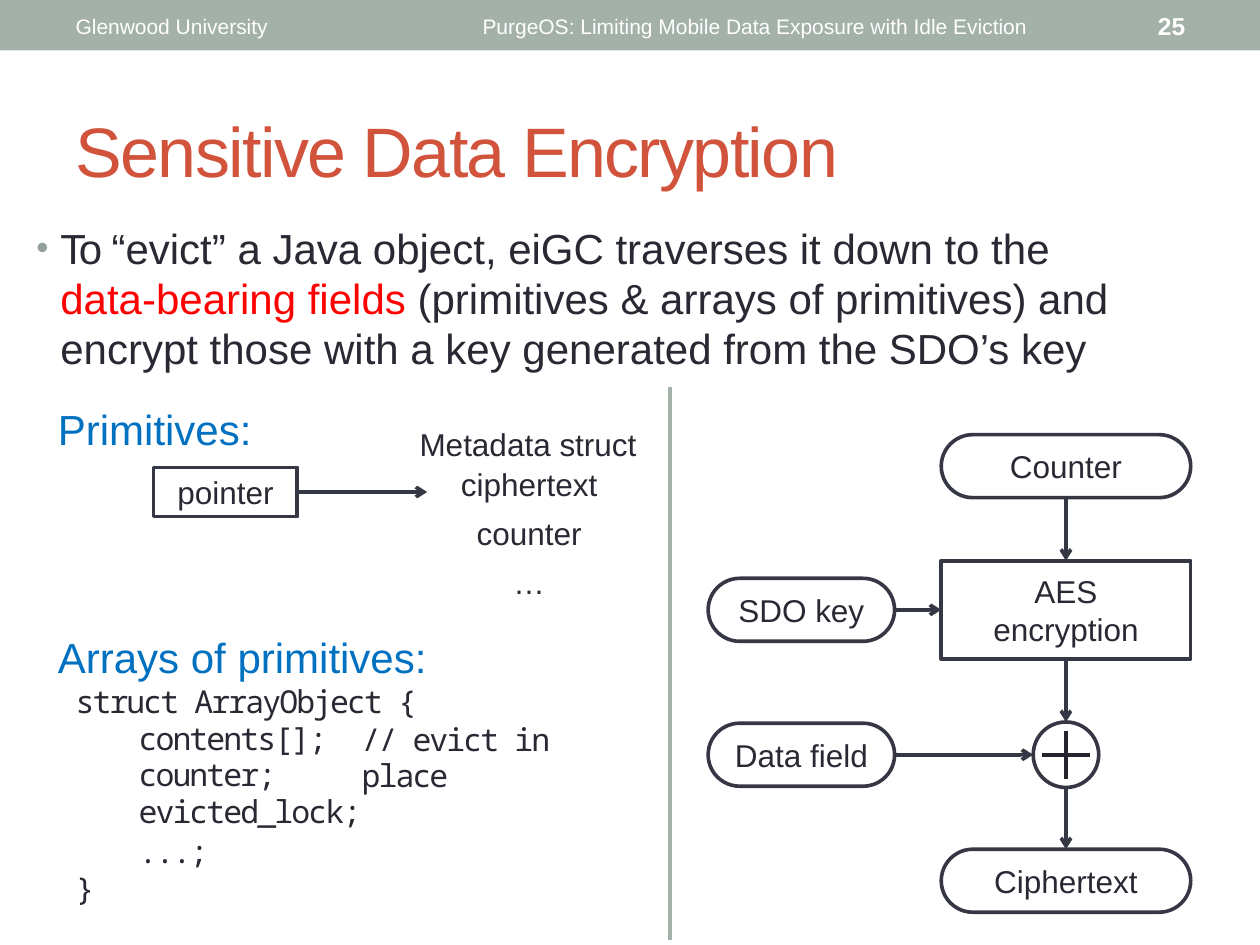
from dataclasses import dataclass

from lxml.etree import SubElement
from pptx import Presentation
from pptx.dml.color import RGBColor
from pptx.enum.shapes import MSO_CONNECTOR, MSO_SHAPE
from pptx.enum.text import MSO_ANCHOR, MSO_AUTO_SIZE, PP_ALIGN
from pptx.oxml.ns import qn
from pptx.util import Inches, Pt

TOP, LEFT, BOTTOM, RIGHT = range(4)


@dataclass(frozen=True)
class Theme:
    """Colours, fonts and type sizes of the deck."""
    bar: str = "A4B1A9"
    bullet: str = "93A299"
    outline: str = "363744"
    cross: str = "24242F"
    ink: str = "292934"
    title: str = "D2533C"
    heading: str = "0070C0"
    accent: str = "FF0000"
    white: str = "FFFFFF"
    sans: str = "Arial"
    mono: str = "Noto Sans Mono"
    title_size: int = 40
    body_size: int = 24
    label_size: int = 18
    number_size: int = 14
    header_size: int = 12
    line_width: float = 2.08


class SlideBuilder:
    """Draws styled elements on the current slide."""

    def __init__(self, slide, theme):
        self.slide = slide
        self.theme = theme

    def style(self, span, size, color=None, font=None, bold=False, spacing=0):
        """Format one run."""
        span.font.size = Pt(size)
        span.font.name = font or self.theme.sans
        span.font.bold = bold
        span.font.color.rgb = RGBColor.from_string(color or self.theme.ink)
        if spacing:
            span._r.get_or_add_rPr().set("spc", str(round(spacing * 100)))

    def prepare(self, frame, anchor=MSO_ANCHOR.TOP):
        """Remove the insets of a text frame and fix its wrapping."""
        frame.margin_left = frame.margin_right = 0
        frame.margin_top = frame.margin_bottom = 0
        frame.word_wrap = True
        frame.auto_size = MSO_AUTO_SIZE.NONE
        frame.vertical_anchor = anchor

    def title(self, text, left, top, width, height):
        """Place and format the title placeholder."""
        box = self.slide.shapes.title
        box.left, box.top = Inches(left), Inches(top)
        box.width, box.height = Inches(width), Inches(height)
        box.text_frame.text = text
        self.prepare(box.text_frame)
        para = box.text_frame.paragraphs[0]
        para.alignment = PP_ALIGN.LEFT
        self.style(para.runs[0], self.theme.title_size, self.theme.title, spacing=-0.9)

    def text(self, text, left, top, width, height, size, leading=None, **look):
        """Add a text box and return it."""
        box = self.slide.shapes.add_textbox(
            Inches(left), Inches(top), Inches(width), Inches(height))
        box.text_frame.text = text
        self.prepare(box.text_frame)
        for para in box.text_frame.paragraphs:
            if leading:
                para.line_spacing = Pt(leading)
            for span in para.runs:
                self.style(span, size, **look)
        return box

    def code(self, text, left, top, width, height):
        """Add a monospaced text box and return it."""
        return self.text(text, left, top, width, height, self.theme.label_size,
                         leading=21, font=self.theme.mono, spacing=-1.1)

    def bullet(self, spans, left, top, width, height, leading):
        """Add one bulleted paragraph made of (text, colour, spacing) spans."""
        box = self.text("", left, top, width, height, self.theme.body_size, leading)
        para = box.text_frame.paragraphs[0]
        for text, color, spacing in spans:
            span = para.add_run()
            span.text = text
            self.style(span, self.theme.body_size, color, spacing=spacing)
        properties = para._p.get_or_add_pPr()
        properties.set("marL", str(Inches(0.21)))
        properties.set("indent", str(Inches(-0.19)))
        color = SubElement(properties, qn("a:buClr"))
        SubElement(color, qn("a:srgbClr")).set("val", self.theme.bullet)
        SubElement(properties, qn("a:buSzPct")).set("val", "83000")
        SubElement(properties, qn("a:buFont")).set("typeface", self.theme.sans)
        SubElement(properties, qn("a:buChar")).set("char", "•")

    def bar(self, left, top, width, height):
        """Add a filled band without an outline."""
        shape = self.slide.shapes.add_shape(
            MSO_SHAPE.RECTANGLE, Inches(left), Inches(top), Inches(width), Inches(height))
        shape.shadow.inherit = False
        shape.fill.solid()
        shape.fill.fore_color.rgb = RGBColor.from_string(self.theme.bar)
        shape.line.fill.background()

    def node(self, kind, text, left, top, width, height):
        """Add an outlined shape with a centred label and return it."""
        shape = self.slide.shapes.add_shape(
            kind, Inches(left), Inches(top), Inches(width), Inches(height))
        if kind == MSO_SHAPE.ROUNDED_RECTANGLE:
            shape.adjustments[0] = 0.5
        shape.shadow.inherit = False
        shape.fill.background()
        shape.line.color.rgb = RGBColor.from_string(self.theme.outline)
        shape.line.width = Pt(self.theme.line_width)
        shape.text_frame.text = text
        self.prepare(shape.text_frame, MSO_ANCHOR.MIDDLE)
        for para in shape.text_frame.paragraphs:
            para.alignment = PP_ALIGN.CENTER
            for span in para.runs:
                self.style(span, self.theme.label_size)
        return shape

    def line(self, start, end, color, arrow=False):
        """Add a straight line between two points and return it."""
        line = self.slide.shapes.add_connector(MSO_CONNECTOR.STRAIGHT, *start, *end)
        line.line.color.rgb = RGBColor.from_string(color)
        line.line.width = Pt(self.theme.line_width)
        if arrow:
            SubElement(line.line._get_or_add_ln(), qn("a:tailEnd")).set("type", "arrow")
        SubElement(line._element.spPr, qn("a:effectLst"))
        return line

    def side(self, shape, site):
        """Return the middle of one side of a shape."""
        across = {LEFT: 0, RIGHT: shape.width}.get(site, shape.width // 2)
        down = {TOP: 0, BOTTOM: shape.height}.get(site, shape.height // 2)
        return shape.left + across, shape.top + down

    def link(self, start, start_site, end, end_site):
        """Draw an arrow between two shapes, joined where they are rectangles."""
        arrow = self.line(self.side(start, start_site), self.side(end, end_site),
                          self.theme.outline, arrow=True)
        if start.auto_shape_type != MSO_SHAPE.OVAL:
            arrow.begin_connect(start, start_site)
        if end.auto_shape_type != MSO_SHAPE.OVAL:
            arrow.end_connect(end, end_site)

    def table(self, rows, left, top, width, row_height):
        """Add a plain one-column table."""
        table = self.slide.shapes.add_table(
            len(rows), 1, Inches(left), Inches(top), Inches(width),
            Inches(row_height * len(rows))).table
        table.first_row = table.horz_banding = False
        for index, text in enumerate(rows):
            cell = table.cell(index, 0)
            cell.fill.solid()
            cell.fill.fore_color.rgb = RGBColor.from_string(self.theme.white)
            cell.margin_left = cell.margin_right = cell.margin_top = cell.margin_bottom = 0
            cell.text_frame.text = text
            para = cell.text_frame.paragraphs[0]
            para.alignment = PP_ALIGN.CENTER
            self.style(para.runs[0], self.theme.label_size)


def main():
    """Build the encryption slide and save the deck."""
    deck = Presentation()
    deck.slide_width, deck.slide_height = Inches(10), Inches(7.5)
    theme = Theme()
    page = SlideBuilder(deck.slides.add_slide(deck.slide_layouts[5]), theme)

    page.bar(0, 0, 10, 0.4)
    for text, left, width in (
            ("Glenwood University", 0.6, 2),
            ("PurgeOS: Limiting Mobile Data Exposure with Idle Eviction", 3.83, 4.8)):
        page.text(text, left, 0.11, width, 0.21, theme.header_size, color=theme.white)
    page.text("25", 9.19, 0.09, 0.4, 0.25, theme.number_size, color=theme.white, bold=True)

    page.title("Sensitive Data Encryption", 0.6, 0.85, 8.2, 0.7)
    page.bullet((
        ("To ", theme.ink, -1.4),
        ("“evict” a Java object, eiGC traverses it down to the ", theme.ink, 0),
        ("data-bearing fields ", theme.accent, 0),
        ("(primitives & arrays of primitives) and encrypt those with a key "
         "generated from the SDO’s key", theme.ink, 0)), 0.27, 1.77, 8.7, 1.2, 28.6)

    for text, top in (("Primitives:", 3.2), ("Arrays of primitives:", 5.01)):
        page.text(text, 0.46, top, 3.2, 0.41, theme.body_size, color=theme.heading)
    page.text("Metadata struct", 3.33, 3.37, 1.85, 0.31, theme.label_size)
    page.table(("ciphertext", "counter", "…"), 3.39, 3.71, 1.62, 0.39)
    pointer = page.node(MSO_SHAPE.RECTANGLE, "pointer", 1.22, 3.71, 1.14, 0.39)
    start = page.side(pointer, RIGHT)
    page.line(start, (Inches(3.39), start[1]), theme.outline,
              arrow=True).begin_connect(pointer, RIGHT)

    code = page.code("struct ArrayObject {\ncontents[];\ncounter;\nevicted_lock;\n...;\n}",
                     0.6, 5.42, 3, 1.8)
    for para in code.text_frame.paragraphs[1:5]:
        para._p.get_or_add_pPr().set("marL", str(Inches(0.5)))
    code.text_frame.paragraphs[4].space_before = Pt(2)
    page.code("// evict in place", 2.87, 5.72, 1.8, 0.6)

    page.line((Inches(5.32), Inches(3.07)), (Inches(5.32), Inches(7.46)), theme.bar)

    pill = MSO_SHAPE.ROUNDED_RECTANGLE
    counter = page.node(pill, "Counter", 7.47, 3.45, 1.98, 0.5)
    cipher = page.node(MSO_SHAPE.RECTANGLE, "AES\nencryption", 7.47, 4.45, 1.98, 0.78)
    key = page.node(pill, "SDO key", 5.62, 4.59, 1.48, 0.5)
    field = page.node(pill, "Data field", 5.62, 5.74, 1.48, 0.5)
    combine = page.node(MSO_SHAPE.OVAL, "", 8.2, 5.73, 0.52, 0.52)
    result = page.node(pill, "Ciphertext", 7.47, 6.74, 1.98, 0.5)
    for begin, end in (((8.27, 5.99), (8.65, 5.99)), ((8.46, 5.8), (8.46, 6.18))):
        page.line(map(Inches, begin), map(Inches, end), theme.cross)
    for upper, lower in ((counter, cipher), (cipher, combine), (combine, result)):
        page.link(upper, BOTTOM, lower, TOP)
    for source, target in ((key, cipher), (field, combine)):
        page.link(source, RIGHT, target, LEFT)

    deck.save("out.pptx")


if __name__ == "__main__":
    main()
